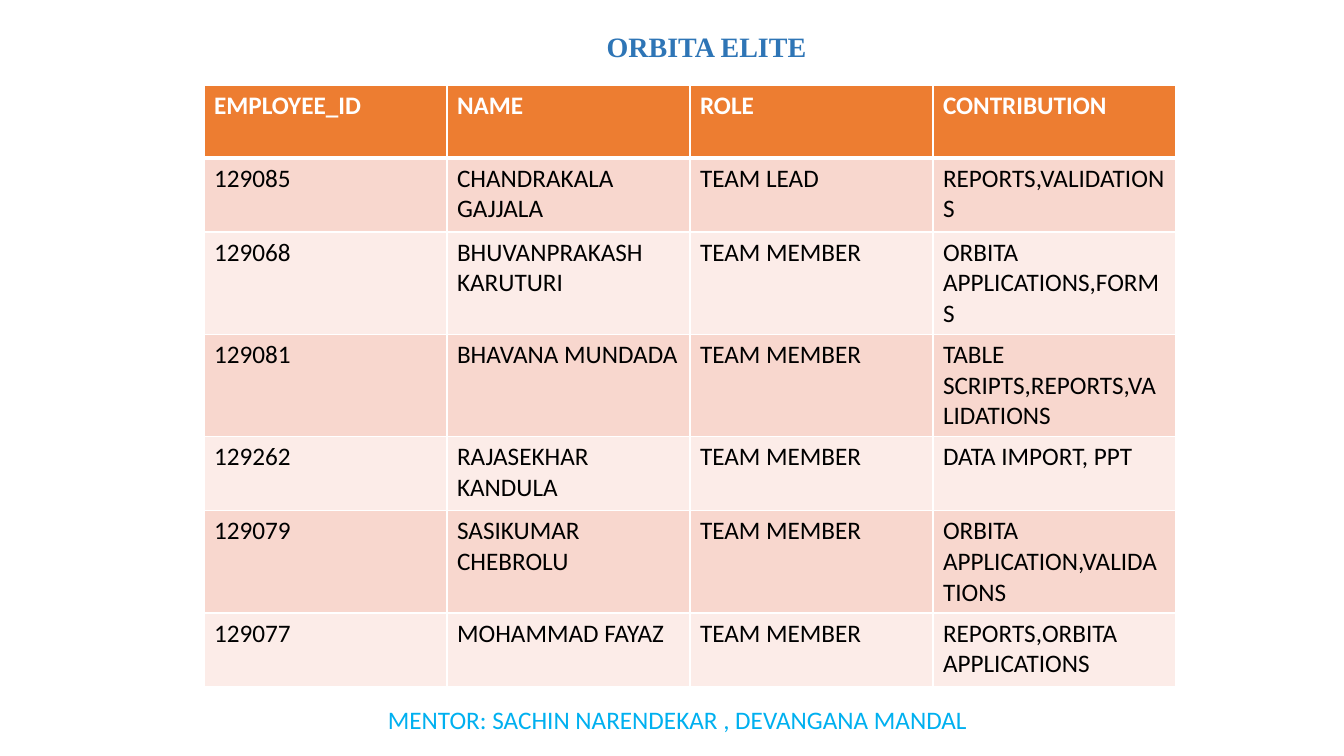
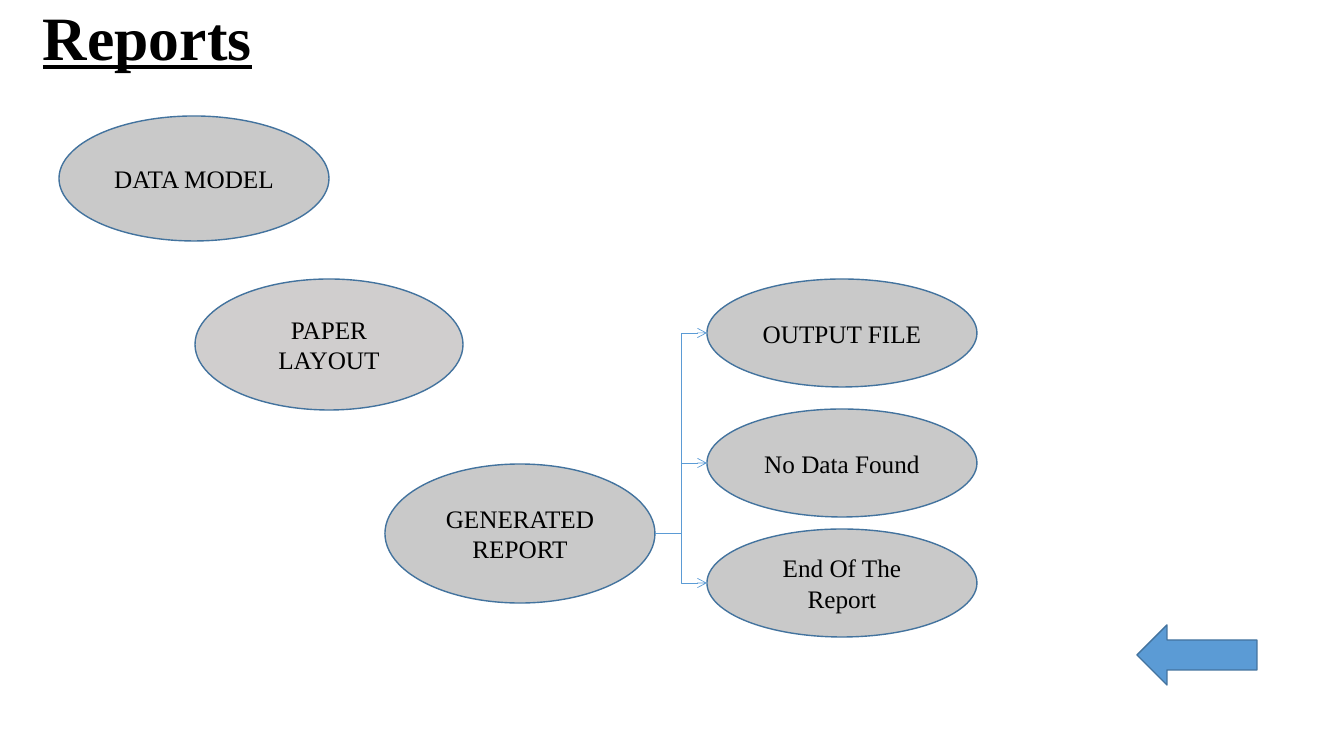
import pptx
import pptx.dml.color
import pptx.enum.shapes
import pptx.enum.text
import pptx.oxml
import pptx.oxml.ns
import pptx.util

SHAPE = pptx.enum.shapes.MSO_SHAPE
CONNECTOR = pptx.enum.shapes.MSO_CONNECTOR
ALIGN = pptx.enum.text.PP_ALIGN
ANCHOR = pptx.enum.text.MSO_ANCHOR
QN = pptx.oxml.ns.qn
NS = pptx.oxml.ns.nsdecls("a")

# Shared colours and text formats
WHITE, BLACK = "FFFFFF", "000000"
BLUE, OUTLINE = "5B9BD5", "43739E"
HEADER, BANDS = "ED7D31", ("F8D7CE", "FCECE8")
GRAY, WARM_GRAY = "C9C9C9", "D0CECE"
SANS, SERIF = "Calibri", "Times New Roman"

TEAM_TITLE = {"name": SERIF, "size": 20, "bold": True, "color": "2E75B6"}
PAGE_TITLE = {"name": SERIF, "size": 44, "bold": True, "underline": True, "color": BLACK}
MENTOR = {"name": SANS, "size": 18, "color": "00B0F0"}
HEAD_CELL = {"name": SANS, "size": 18, "bold": True, "color": WHITE}
BODY_CELL = {"name": SANS, "size": 18, "bold": False, "color": BLACK}
NODE = {"name": SERIF, "size": 18, "color": BLACK}

# Content
TEAM = [
    ("EMPLOYEE_ID", "NAME", "ROLE", "CONTRIBUTION"),
    ("129085", "CHANDRAKALA GAJJALA", "TEAM LEAD", "REPORTS,VALIDATIONS"),
    ("129068", "BHUVANPRAKASH KARUTURI", "TEAM MEMBER", "ORBITA APPLICATIONS,FORMS"),
    ("129081", "BHAVANA MUNDADA", "TEAM MEMBER", "TABLE SCRIPTS,REPORTS,VALIDATIONS"),
    ("129262", "RAJASEKHAR KANDULA", "TEAM MEMBER", "DATA IMPORT, PPT"),
    ("129079", "SASIKUMAR CHEBROLU", "TEAM MEMBER", "ORBITA APPLICATION,VALIDATIONS"),
    ("129077", "MOHAMMAD FAYAZ", "TEAM MEMBER", "REPORTS,ORBITA APPLICATIONS"),
]
ROW_HEIGHTS = [73, 74, 100, 102, 74, 100, 74]
COLUMN_WIDTH = 243


def px(n):
    return pptx.util.Emu(round(n * 914400 / 100.8))


def rgb(value):
    return pptx.dml.color.RGBColor.from_string(value)


def write(tf, text, style, align=ALIGN.LEFT, spacing=None):
    p = tf.paragraphs[0]
    p.alignment = align
    if spacing:
        p.line_spacing = spacing
    r = p.add_run()
    r.text = text
    for key, value in style.items():
        if key == "color":
            r.font.color.rgb = rgb(value)
        else:
            setattr(r.font, key, pptx.util.Pt(value) if key == "size" else value)


def add_text(s, box, text, style, **paragraph):
    tf = s.shapes.add_textbox(*map(px, box)).text_frame
    tf.word_wrap = True
    write(tf, text, style, **paragraph)


def add_outlined(s, kind, box, fill):
    sp = s.shapes.add_shape(kind, *map(px, box))
    sp.shadow.inherit = False
    sp.fill.solid()
    sp.fill.fore_color.rgb = rgb(fill)
    sp.line.color.rgb = rgb(OUTLINE)
    sp.line.width = pptx.util.Pt(1)
    return sp


def add_node(s, box, text, fill=GRAY):
    tf = add_outlined(s, SHAPE.OVAL, box, fill).text_frame
    tf.word_wrap = True
    tf.vertical_anchor = ANCHOR.MIDDLE
    write(tf, text, NODE, ALIGN.CENTER)


def add_arrow(s, kind, start, end):
    connector = s.shapes.add_connector(kind, *map(px, start + end))
    connector.line.color.rgb = rgb(BLUE)
    connector.line.width = pptx.util.Pt(0.5)
    # Open arrowhead, no theme shadow
    sp_pr = connector._element.spPr
    sp_pr.find(QN("a:ln")).append(pptx.oxml.parse_xml(f'<a:tailEnd {NS} type="arrow"/>'))
    sp_pr.append(pptx.oxml.parse_xml(f"<a:effectLst {NS}/>"))
    for effect in connector._element.iter(QN("a:effectRef")):
        effect.set("idx", "0")


def add_borders(cell, widths):
    tc_pr = cell._tc.get_or_add_tcPr()
    for side, width in widths.items():
        tc_pr.append(pptx.oxml.parse_xml(
            f'<a:ln{side} {NS} w="{pptx.util.Pt(width)}">'
            f'<a:solidFill><a:srgbClr val="{WHITE}"/></a:solidFill></a:ln{side}>'))


def add_table(s, left, top, rows):
    columns = len(rows[0])
    frame = s.shapes.add_table(len(rows), columns, px(left), px(top),
                               px(columns * COLUMN_WIDTH), px(sum(ROW_HEIGHTS)))
    table = frame.table
    for column in table.columns:
        column.width = px(COLUMN_WIDTH)
    for i, values in enumerate(rows):
        table.rows[i].height = px(ROW_HEIGHTS[i])
        for j, value in enumerate(values):
            cell = table.cell(i, j)
            # The rule under the header is heavier
            add_borders(cell, {"L": 1, "R": 1, "T": 3 if i == 1 else 1, "B": 3 if i == 0 else 1})
            cell.fill.solid()
            cell.fill.fore_color.rgb = rgb(BANDS[(i - 1) % 2] if i else HEADER)
            write(cell.text_frame, value, BODY_CELL if i else HEAD_CELL)


def build_team(s):
    add_table(s, 204, 85, TEAM)
    add_text(s, (433, 25, 547, 44), "ORBITA ELITE", TEAM_TITLE, align=ALIGN.CENTER)
    add_text(s, (378, 699, 623, 40), "MENTOR: SACHIN NARENDEKAR , DEVANGANA MANDAL", MENTOR)


def build_reports(s):
    add_text(s, (33, 2, 907, 88), "Reports", PAGE_TITLE, spacing=0.9)

    # Steps
    add_node(s, (59, 116, 270, 125), "DATA MODEL")
    add_node(s, (195, 279, 268, 131), "PAPER LAYOUT", WARM_GRAY)
    add_node(s, (385, 464, 270, 139), "GENERATED REPORT")

    # Outcomes and their arrows
    node_left, node_height = 707, 108
    start, branch = (655, 533), 681
    outcomes = (("OUTPUT FILE", 279), ("No Data Found", 409), ("End Of The Report", 529))
    for text, top in outcomes:
        add_node(s, (node_left, top, 270, node_height), text)
        end = (node_left, top + node_height // 2)
        if text == "No Data Found":
            add_arrow(s, CONNECTOR.STRAIGHT, (branch, end[1]), end)
        else:
            add_arrow(s, CONNECTOR.ELBOW, start, end)

    # Back arrow
    add_outlined(s, SHAPE.LEFT_ARROW, (1137, 625, 120, 60), BLUE)


def main():
    prs = pptx.Presentation()
    prs.slide_width, prs.slide_height = px(1344), px(756)
    for build in (build_team, build_reports):
        build(prs.slides.add_slide(prs.slide_layouts[6]))
    prs.save("out.pptx")


main()
